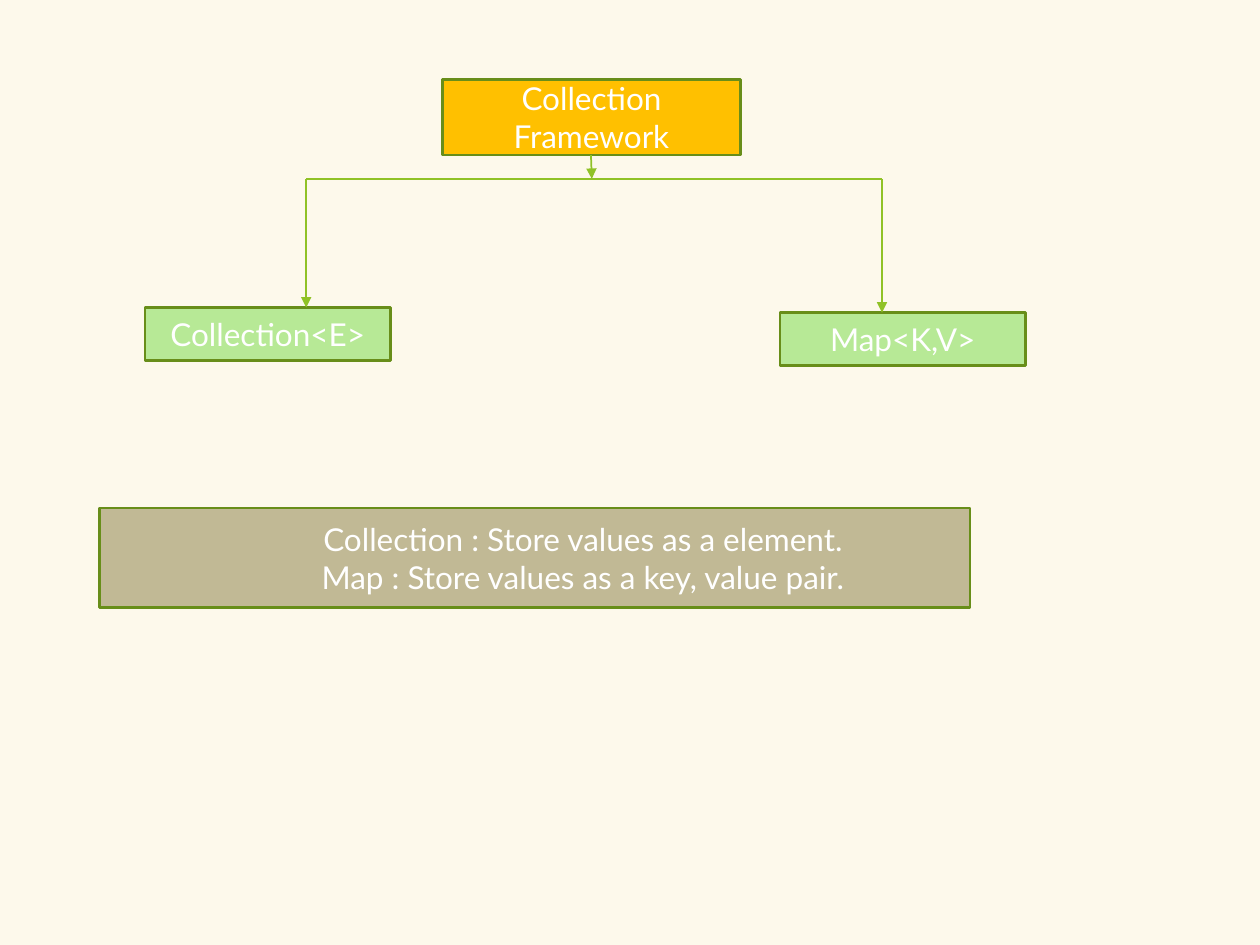
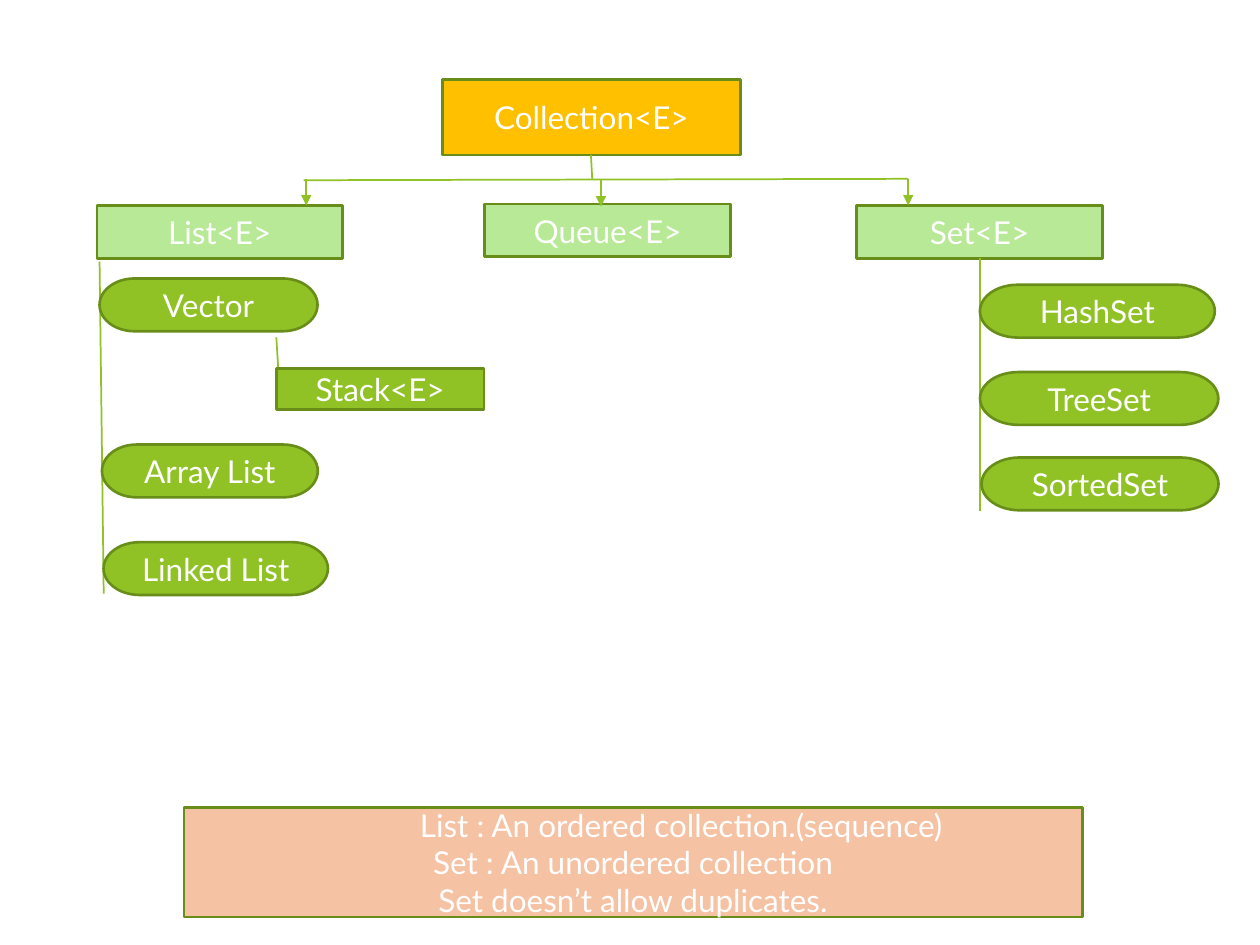
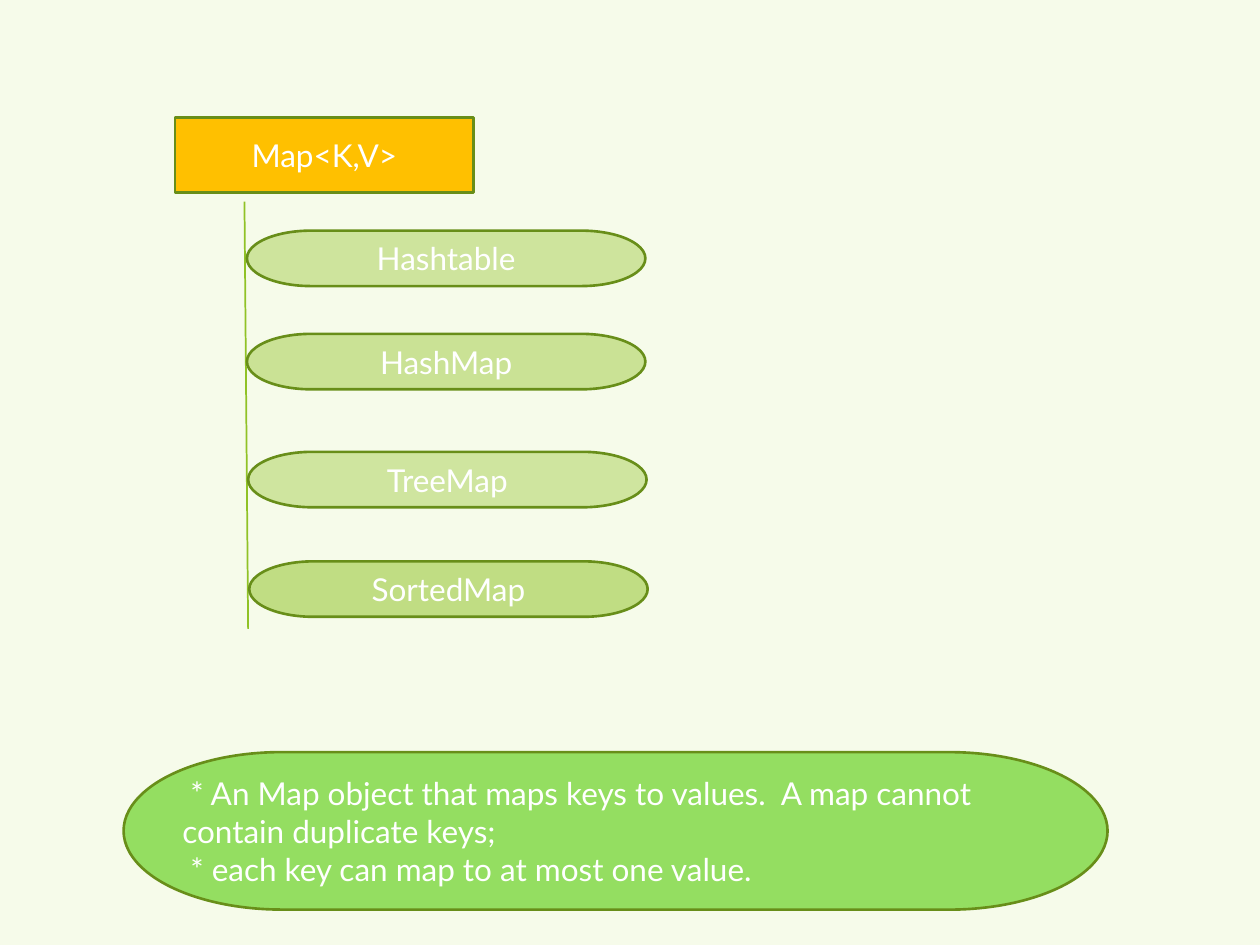
from pptx import Presentation
from pptx.dml.color import RGBColor
from pptx.enum.shapes import MSO_CONNECTOR, MSO_SHAPE
from pptx.enum.text import MSO_ANCHOR, PP_ALIGN
from pptx.oxml.ns import qn
from pptx.util import Pt
from lxml.etree import SubElement

COLORS = {
    "cream": "FDF9EB",
    "white": "FFFFFF",
    "mint": "F6FBEA",
    "root": "FFC000",
    "interface": "B7E996",
    "class": "90C226",
    "outline": "688E19",
    "khaki": "C1B995",
    "peach": "F5C2A3",
    "grass": "94DE61",
}
RECT = MSO_SHAPE.RECTANGLE
PILL = MSO_SHAPE.FLOWCHART_TERMINATOR
ROOT_SIZE = (170.6, 43.2)
INTERFACE_SIZE = (140.4, 30.2)
NOTE_INDENT = 55


def rgb(name):
    return RGBColor.from_string(COLORS[name])


class Diagram:
    font = "Lato"
    text_size = Pt(18)
    outline_width = Pt(1.5)
    line_width = Pt(1)

    def __init__(self, deck):
        self.deck = deck
        self.slide = None

    def new_slide(self, background):
        self.slide = self.deck.slides.add_slide(self.deck.slide_layouts[6])
        fill = self.slide.background.fill
        fill.solid()
        fill.fore_color.rgb = rgb(background)

    def box(self, lines, left, top, width, height, color, kind=RECT,
            align=PP_ALIGN.CENTER, opacity=100, indents=()):
        shape = self.slide.shapes.add_shape(
            kind, Pt(left), Pt(top), Pt(width), Pt(height))
        shape.shadow.inherit = False
        shape.fill.solid()
        shape.fill.fore_color.rgb = rgb(color)
        if opacity < 100:
            fill_color = shape._element.spPr.find(qn("a:solidFill"))[0]
            SubElement(fill_color, qn("a:alpha"), val=str(opacity * 1000))
        shape.line.color.rgb = rgb("outline")
        shape.line.width = self.outline_width
        frame = shape.text_frame
        frame.word_wrap = True
        frame.vertical_anchor = MSO_ANCHOR.MIDDLE
        frame.text = "\n".join(lines)
        for paragraph in frame.paragraphs:
            paragraph.alignment = align
            paragraph.font.name = self.font
            paragraph.font.size = self.text_size
            paragraph.font.color.rgb = rgb("white")
        for paragraph, indent in zip(frame.paragraphs, indents):
            paragraph._p.get_or_add_pPr().set("marL", str(Pt(indent)))

    def root(self, label, left, top):
        self.box([label], left, top, *ROOT_SIZE, "root")

    def interface(self, label, left, top):
        self.box([label], left, top, *INTERFACE_SIZE, "interface")

    def pill(self, label, left, top, width, height=30.2, opacity=100):
        self.box([label], left, top, width, height, "class", PILL,
                 opacity=opacity)

    def line(self, x1, y1, x2, y2, arrow=False):
        connector = self.slide.shapes.add_connector(
            MSO_CONNECTOR.STRAIGHT, Pt(x1), Pt(y1), Pt(x2), Pt(y2))
        connector.line.color.rgb = rgb("class")
        connector.line.width = self.line_width
        if arrow:
            SubElement(connector.line._get_or_add_ln(), qn("a:tailEnd"),
                       type="triangle")
        SubElement(connector._element.spPr, qn("a:effectLst"))


def framework_slide(diagram):
    diagram.new_slide("cream")
    diagram.interface("Collection<E>", 82.8, 175.7)
    diagram.interface("Map<K,V>", 445.7, 178.6)
    diagram.root("Collection Framework", 252.7, 45.4)
    diagram.line(337.7, 88.6, 338.2, 102.2, arrow=True)
    diagram.line(175, 102.2, 504, 102.2)
    for x, bottom in ((175, 175.7), (504, 178.6)):
        diagram.line(x, 102.2, x, bottom, arrow=True)
    diagram.box(["Collection : Store values as a element.",
                 "Map : Store values as a key, value pair."],
                56.9, 290.2, 497.5, 56.9, "khaki",
                indents=(NOTE_INDENT, NOTE_INDENT))


def collection_slide(diagram):
    diagram.new_slide("white")
    diagram.interface("List<E>", 55.4, 117.4)
    diagram.interface("Set<E>", 489.6, 117.4)
    diagram.root("Collection<E>", 252.7, 45.4)
    diagram.line(173.5, 103, 519, 102.2)
    for x in (175, 519):
        diagram.line(x, 102.2, x, 117.4, arrow=True)

    diagram.line(56.9, 149.5, 59.3, 339.2)
    for label, left, top, width in (("Vector", 56.9, 159.1, 124.6),
                                    ("Array List", 58.3, 254, 123.3),
                                    ("Linked List", 59.2, 309.8, 128.2)):
        diagram.pill(label, left, top, width)

    diagram.line(560, 147.6, 560, 291.8)
    for label, left, top, width in (("HashSet", 560, 162.7, 134.2),
                                    ("TreeSet", 560, 212.6, 136.2),
                                    ("SortedSet", 560.9, 261.4, 135.4)):
        diagram.pill(label, left, top, width)

    diagram.box(["List : An ordered collection.(sequence)",
                 "Set : An unordered collection",
                 "Set doesn’t allow duplicates."],
                105.1, 461.5, 513.4, 62.6, "peach", indents=(NOTE_INDENT,))
    diagram.line(157.9, 192.8, 159.2, 213.8)
    diagram.box(["Stack<E>"], 157.9, 210.7, 118.8, 23.3, "class")
    diagram.interface("Queue<E>", 277, 116.6)
    diagram.line(343.4, 103, 343.4, 118, arrow=True)
    diagram.line(337.7, 88.6, 338.4, 102.2)


def map_slide(diagram):
    diagram.new_slide("mint")
    diagram.root("Map<K,V>", 100.1, 67)
    diagram.line(139.7, 115.2, 141.8, 359.3)
    for label, left, top, opacity in (("Hashtable", 141.1, 131.8, 39),
                                      ("HashMap", 141.1, 190.8, 43),
                                      ("TreeMap", 141.8, 258.2, 38),
                                      ("SortedMap", 142.4, 320.8, 52)):
        diagram.pill(label, left, top, 227.7, 31.7, opacity)
    diagram.box([" * An Map object that maps keys to values.  A map cannot "
                 "contain duplicate keys;",
                 " * each key can map to at most one value."],
                70.6, 429.8, 562.3, 90, "grass", PILL, PP_ALIGN.LEFT)


def main():
    deck = Presentation()
    deck.slide_width, deck.slide_height = Pt(720), Pt(540)
    diagram = Diagram(deck)
    framework_slide(diagram)
    collection_slide(diagram)
    map_slide(diagram)
    deck.save("out.pptx")


if __name__ == "__main__":
    main()
